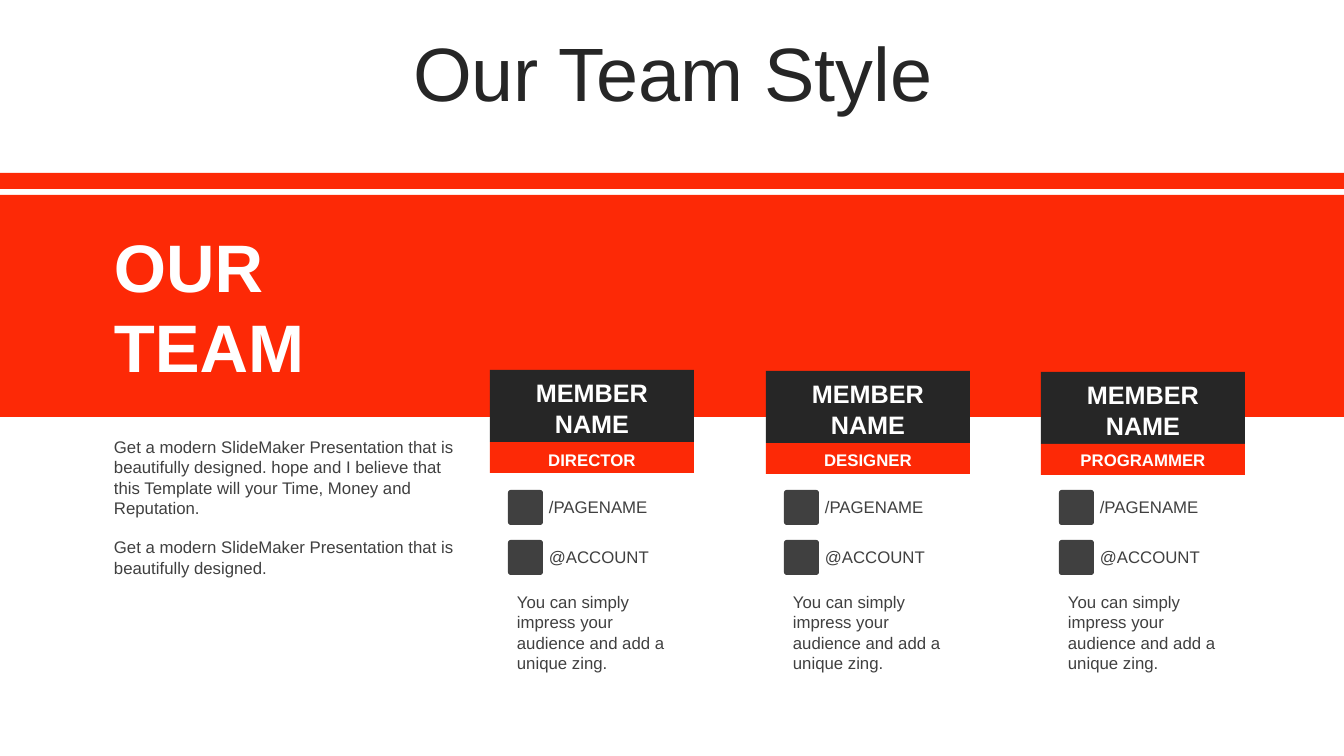
"""Build the team slide with three member cards."""
import dataclasses

import pptx
import pptx.util
import pptx.dml.color
import pptx.enum.shapes
import pptx.enum.text

SCALE = 12192000 / 1344
SHAPE = pptx.enum.shapes.MSO_SHAPE
ALIGN = pptx.enum.text.PP_ALIGN
ANCHOR = pptx.enum.text.MSO_ANCHOR


@dataclasses.dataclass(frozen=True)
class Theme:
    """Hold the colours, font and type sizes of the slide."""
    red: str = "FD2906"
    dark: str = "262626"
    gray: str = "404040"
    white: str = "FFFFFF"
    font: str = "Arial"
    title: int = 54
    heading: int = 48
    name: int = 18
    body: int = 12


THEME = Theme()
MEMBERS = [(490, "DIRECTOR"), (766, "DESIGNER"), (1041, "PROGRAMMER")]
LINKS = [(490, "/PAGENAME"), (540, "@ACCOUNT")]
BIO = "You can simply impress your audience and add a unique zing."
INTRO = [
    "Get a modern SlideMaker Presentation that is beautifully designed. hope and I "
    "believe that this Template will your Time, Money and Reputation.",
    "Get a modern SlideMaker Presentation that is beautifully designed.",
]


def emu(px):
    """Convert pixels to EMU."""
    return pptx.util.Emu(round(px * SCALE))


def add_block(s, box, color, kind=SHAPE.RECTANGLE):
    """Add a plain filled shape without a line."""
    sp = s.shapes.add_shape(kind, *map(emu, box))
    sp.shadow.inherit = False
    sp.fill.solid()
    sp.fill.fore_color.rgb = pptx.dml.color.RGBColor.from_string(color)
    sp.line.fill.background()
    return sp


def write(tf, lines, size, color, bold=False, align=ALIGN.LEFT,
          anchor=ANCHOR.TOP, spacing=None, gap=0):
    """Write one formatted paragraph per line into a text frame."""
    frame = {"word_wrap": True, "vertical_anchor": anchor,
             "auto_size": pptx.enum.text.MSO_AUTO_SIZE.NONE}
    for key, value in frame.items():
        setattr(tf, key, value)
    font = {"name": THEME.font, "size": pptx.util.Pt(size), "bold": bold}
    for i, line in enumerate(lines):
        p = tf.add_paragraph() if i else tf.paragraphs[0]
        layout = {"alignment": align, "line_spacing": spacing,
                  "space_before": pptx.util.Pt(gap if i else 0)}
        for key, value in layout.items():
            setattr(p, key, value)
        r = p.add_run()
        r.text = line
        for key, value in font.items():
            setattr(r.font, key, value)
        r.font.color.rgb = pptx.dml.color.RGBColor.from_string(color)


def add_text(s, box, lines, size, color, **style):
    """Add a wrapped text box."""
    sp = s.shapes.add_textbox(*map(emu, box))
    write(sp.text_frame, lines, size, color, **style)


def add_title(s, box, text):
    """Move the title placeholder and fill it."""
    sp = s.shapes.title
    sp.left, sp.top, sp.width, sp.height = map(emu, box)
    write(sp.text_frame, [text], THEME.title, THEME.dark, align=ALIGN.CENTER,
          anchor=ANCHOR.MIDDLE, spacing=0.9)


def add_link(s, x, y, text):
    """Add a rounded badge with its account label."""
    badge = add_block(s, (x + 18, y, 35, 35), THEME.gray, SHAPE.ROUNDED_RECTANGLE)
    badge.adjustments[0] = 0.08
    add_text(s, (x + 49, y + 2, 135, 30), [text], THEME.body, THEME.gray,
             anchor=ANCHOR.MIDDLE)


def add_member(s, x, y, role):
    """Add a member card with name, role, links and biography."""
    label = {"bold": True, "align": ALIGN.CENTER, "anchor": ANCHOR.MIDDLE}
    add_block(s, (x, y, 204, 72), THEME.dark)
    add_block(s, (x, y + 72, 204, 31), THEME.red)
    add_text(s, (x + 21, y + 2, 162, 72), ["MEMBER", "NAME"], THEME.name,
             THEME.white, **label)
    add_text(s, (x + 21, 444, 162, 31), [role], THEME.body, THEME.white, **label)
    for top, text in LINKS:
        add_link(s, x, top, text)
    add_text(s, (x + 17, 587, 171, 92), [BIO], THEME.body, THEME.gray)


def main():
    """Build and save the slide."""
    prs = pptx.Presentation()
    prs.slide_width, prs.slide_height = emu(1344), emu(756)
    s = prs.slides.add_slide(prs.slide_layouts[5])
    add_title(s, (35, 37, 1276, 80), "Our Team Style")
    add_block(s, (0, 173, 1344, 16), THEME.red)
    add_block(s, (0, 195, 1344, 222), THEME.red)
    add_text(s, (104, 220, 318, 174), ["OUR", "TEAM"], THEME.heading,
             THEME.white, bold=True)
    add_text(s, (104, 432, 366, 152), INTRO, THEME.body, THEME.gray, gap=14)
    for i, (x, role) in enumerate(MEMBERS):
        add_member(s, x, 370 + i, role)
    prs.save("out.pptx")


if __name__ == "__main__":
    main()
